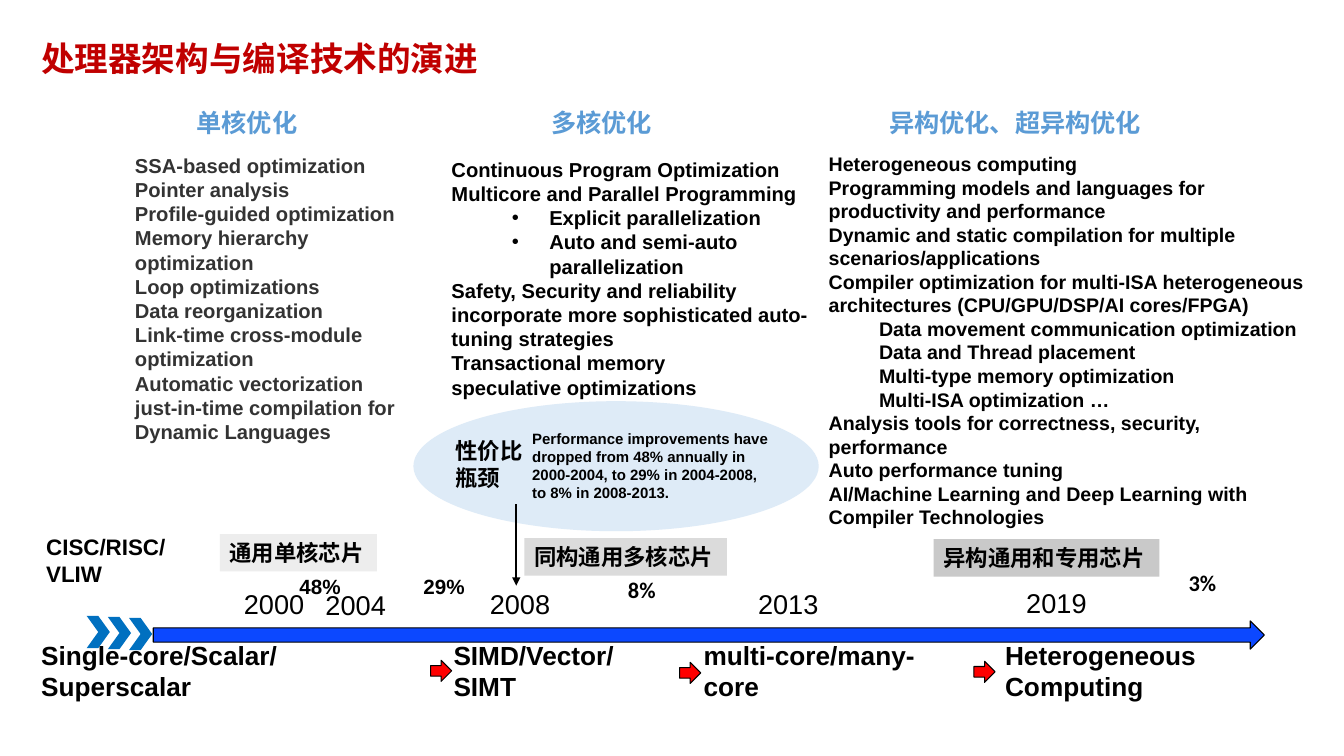
from pptx import Presentation
from pptx.dml.color import RGBColor
from pptx.enum.shapes import MSO_CONNECTOR, MSO_SHAPE
from pptx.enum.text import MSO_ANCHOR, PP_ALIGN
from pptx.oxml.ns import qn
from pptx.util import Inches, Pt
from lxml import etree

OVAL, RECT = MSO_SHAPE.OVAL, MSO_SHAPE.RECTANGLE
ARROW, CHEVRON = MSO_SHAPE.RIGHT_ARROW, MSO_SHAPE.CHEVRON
LINE, LEFT = MSO_CONNECTOR.STRAIGHT, PP_ALIGN.LEFT
MIDDLE, TOP = MSO_ANCHOR.MIDDLE, MSO_ANCHOR.TOP
HAN = "Noto Sans CJK SC"
COLORS = {
    "black": "000000", "gray": "333333", "title": "C00000", "head": "5B9BD5",
    "oval": "DEEBF7", "axis": "0C48FF", "red": "FF0000", "chevron": "0070C0",
    "light": "EDEDED", "mid": "DBDBDB", "dark": "C9C9C9",
}

TITLE = "处理器架构与编译技术的演进"
HEADS = [("单核优化", 1.85, 1.21), ("多核优化", 5.37, 1.21),
         ("异构优化、超异构优化", 8.72, 2.73)]
# A tuple is a second-level line
SINGLE = [
    "SSA-based optimization", "Pointer analysis", "Profile-guided optimization",
    "Memory hierarchy optimization", "Loop optimizations",
    "Data reorganization", "Link-time cross-module optimization",
    "Automatic vectorization",
    "just-in-time compilation for Dynamic Languages",
]
MULTI = [
    "Continuous Program Optimization", "Multicore and Parallel Programming",
    ("Explicit parallelization",), ("Auto and semi-auto parallelization",),
    "Safety, Security and reliability",
    "incorporate more sophisticated auto-tuning strategies",
    "Transactional memory", "speculative optimizations",
]
HETERO = [
    "Heterogeneous computing",
    "Programming models and languages for productivity and performance",
    "Dynamic and static compilation for multiple scenarios/applications",
    "Compiler optimization for multi-ISA heterogeneous architectures "
    "(CPU/GPU/DSP/AI cores/FPGA)",
    ("Data movement communication optimization",),
    ("Data and Thread placement",), ("Multi-type memory optimization",),
    ("Multi-ISA optimization …",),
    "Analysis tools for correctness, security, performance",
    "Auto performance tuning",
    "AI/Machine Learning and Deep Learning with Compiler Technologies",
]
# Lines, box, size, colour, indent, bullet
COLUMNS = [
    (SINGLE, (1.24, 1.47, 3.01, 3.01), 14.4, "gray", (0, 0), ""),
    (MULTI, (4.38, 1.51, 4.03, 2.52), 14.4, "black", (0.97, -0.37), "•"),
    (HETERO, (8.12, 1.46, 5.01, 3.87), 14, "black", (0.5, 0), ""),
]
CHIPS = [("通用单核芯片", 2.18, 5.3, 1.56, "light"),
         ("同构通用多核芯片", 5.2, 5.34, 2.01, "mid"),
         ("异构通用和专用芯片", 9.26, 5.35, 2.24, "dark")]
YEARS = [("2000", 2.32, 5.78), ("2004", 3.13, 5.79), ("2008", 4.76, 5.78),
         ("2013", 7.42, 5.78), ("2019", 10.08, 5.77)]
RATES = [("48%", (2.87, 5.64, 0.61, 0.35), 14.7, "Arial"),
         ("29%", (4.1, 5.64, 0.61, 0.35), 14.7, "Arial"),
         ("8%", (6.13, 5.67, 0.48, 0.37), 16, "Calibri"),
         ("3%", (11.69, 5.6, 0.48, 0.37), 16, "Calibri")]
STAGES = [("Single-core/Scalar/Superscalar", 0.31, 4.0),
          ("SIMD/Vector/SIMT", 4.4, 2.4),
          ("multi-core/many-core", 6.88, 2.83),
          ("Heterogeneous Computing", 9.87, 3.51)]
STEPS = [(4.27, 6.55), (6.74, 6.57), (9.66, 6.56)]
ISA = ["CISC/RISC/", "VLIW"]
LIMIT = "性价比瓶颈"
NOTE = ("Performance improvements have dropped from 48% annually in "
        "2000-2004, to 29% in 2004-2008, to 8% in 2008-2013.")

prs = Presentation()
prs.slide_width, prs.slide_height = Inches(13.33), Inches(7.5)
slide = prs.slides.add_slide(prs.slide_layouts[6])


def rgb(name):
    return RGBColor.from_string(COLORS[name])


def indent(para, left, first, bullet):
    props = para._p.get_or_add_pPr()
    props.set("lvl", "1")
    props.set("marL", str(Inches(left)))
    props.set("indent", str(Inches(first)))
    if bullet:
        font = etree.SubElement(props, qn("a:buFont"))
        font.set("typeface", "Arial")
        etree.SubElement(props, qn("a:buChar")).set("char", bullet)


def write(shape, lines, size, color="black", font="Arial", bold=True,
          wrap=False, anchor=TOP, inset=(0, 0), bullet=""):
    frame = shape.text_frame
    frame.word_wrap = wrap
    frame.vertical_anchor = anchor
    for i, line in enumerate(lines):
        para = frame.add_paragraph() if i else frame.paragraphs[0]
        para.alignment = LEFT
        if isinstance(line, tuple):
            indent(para, *inset, bullet)
            line = line[0]
        run = para.add_run()
        run.text = line
        run.font.size, run.font.bold = Pt(size), bold
        run.font.name = font
        run.font.color.rgb = rgb(color)
        # East Asian glyphs need their own typeface entry
        east = etree.SubElement(run._r.get_or_add_rPr(), qn("a:ea"))
        east.set("typeface", font)
    return frame


def label(lines, box, size, **style):
    shape = slide.shapes.add_textbox(*map(Inches, box))
    return write(shape, lines, size, **style)


def draw(kind, box, fill, line=False):
    shape = slide.shapes.add_shape(kind, *map(Inches, box))
    shape.shadow.inherit = False
    shape.fill.solid()
    shape.fill.fore_color.rgb = rgb(fill)
    if line:
        shape.line.color.rgb = rgb("black")
        shape.line.width = Pt(0.75)
    else:
        shape.line.fill.background()
    return shape


draw(OVAL, (4.1, 3.98, 4.02, 1.29), "oval")
title = label([TITLE], (0.31, 0.19, 11.81, 0.83), 24, color="title",
              font=HAN, wrap=True, anchor=MIDDLE)
title.paragraphs[0].line_spacing = 0.9

for text, x, w in HEADS:
    label([text], (x, 1.02, w, 0.4), 18, color="head", font=HAN)
for lines, box, size, color, inset, bullet in COLUMNS:
    label(lines, box, size, color=color, wrap=True, inset=inset, bullet=bullet)

draw(ARROW, (1.52, 6.16, 11.02, 0.28), "axis", line=True)
for i in range(3):
    draw(CHEVRON, (0.86 + 0.21 * i, 6.11 + 0.01 * i, 0.23, 0.32), "chevron")
for text, x, y in YEARS:
    label([text], (x, y, 0.8, 0.43), 19.4, bold=False)
for text, x, w in STAGES:
    label([text], (x, 6.44, w, 0.42), 18.7, anchor=MIDDLE)
for x, y in STEPS:
    draw(ARROW, (x, y, 0.21, 0.21), "red", line=True)
for text, x, y, w, fill in CHIPS:
    write(draw(RECT, (x, y, w, 0.37), fill), [text], 16)
label(ISA, (0.36, 5.24, 1.45, 0.64), 16)

pointer = slide.shapes.add_connector(
    LINE, *map(Inches, (5.12, 5, 5.12, 5.81)))
pointer.line.color.rgb = rgb("black")
pointer.line.width = Pt(1.5)
tip = etree.SubElement(pointer.line._get_or_add_ln(), qn("a:tailEnd"))
tip.set("type", "triangle")
etree.SubElement(pointer._element.spPr, qn("a:effectLst"))

label([LIMIT], (4.42, 4.29, 1.06, 0.64), 16, wrap=True)
label([NOTE], (5.18, 4.21, 2.59, 0.82), 10.7, wrap=True)
for text, box, size, font in RATES:
    label([text], box, size, font=font)

prs.save("out.pptx")
